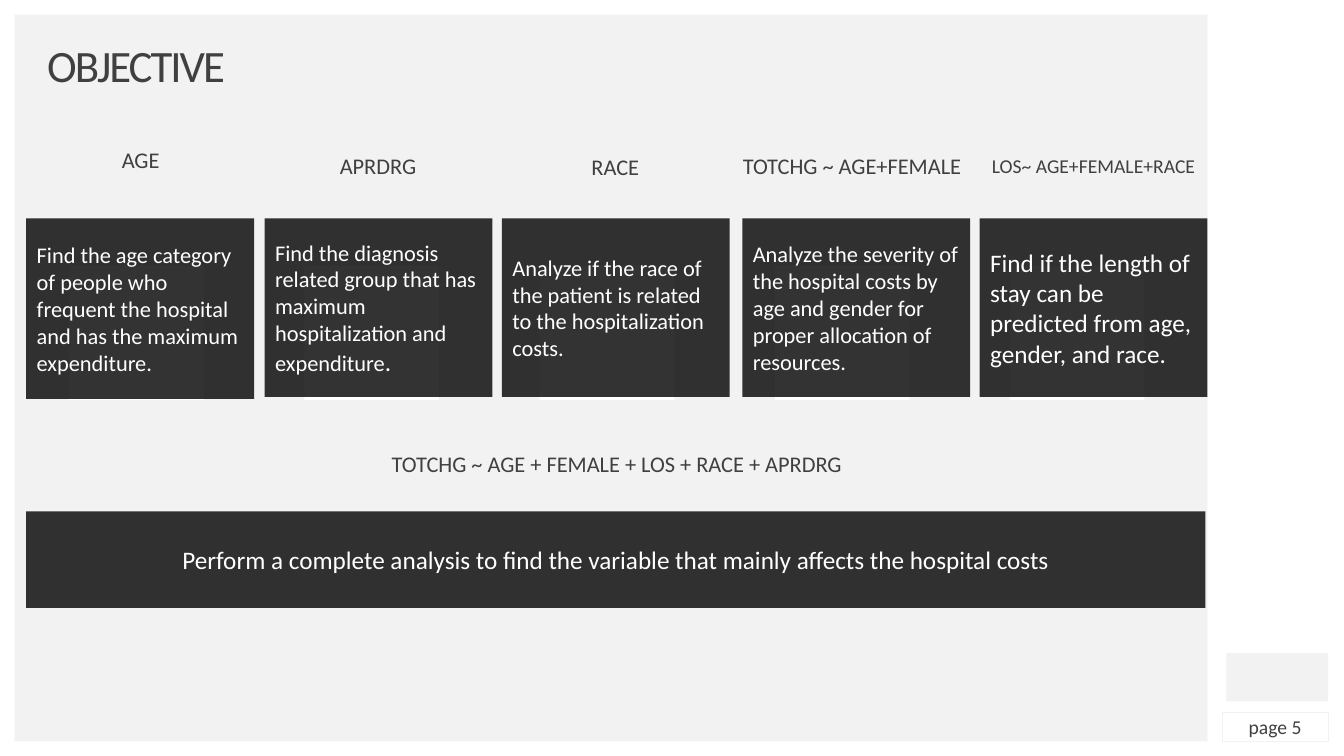
"""Build the objective slide: five research questions and one overall analysis."""
from lxml.etree import SubElement
from pptx import Presentation
from pptx.dml.color import RGBColor
from pptx.enum.shapes import MSO_SHAPE
from pptx.enum.text import MSO_ANCHOR, PP_ALIGN
from pptx.oxml.ns import qn
from pptx.util import Emu, Pt

PX = 9525
INK, PALE, WHITE = "404040", "F2F2F2", "FFFFFF"


def add_box(box, fill=None, alpha=None, line=None):
    shape = slide.shapes.add_shape(MSO_SHAPE.RECTANGLE, *[Emu(n * PX) for n in box])
    shape.shadow.inherit = False
    shape.fill.background()
    shape.line.fill.background()
    if fill:
        shape.fill.solid()
        shape.fill.fore_color.rgb = RGBColor.from_string(fill)
    if alpha:
        tint = shape.fill._xPr.find(qn("a:solidFill"))[0]
        SubElement(tint, qn("a:alpha")).set("val", str(alpha * 1000))
    if line:
        shape.line.color.rgb = RGBColor.from_string(line)
        shape.line.width = Pt(0.25)
    return shape


def write(shape, runs, color=INK, align=PP_ALIGN.CENTER, anchor=MSO_ANCHOR.TOP, spacing=None, inset=0):
    frame = shape.text_frame
    frame.word_wrap = True
    frame.vertical_anchor = anchor
    frame.margin_left = frame.margin_right = Emu(inset * PX)
    frame.margin_top = frame.margin_bottom = Emu(inset * PX // 2)
    paragraph = frame.paragraphs[0]
    paragraph.alignment = align
    paragraph.line_spacing = spacing
    for text, size in runs:
        run = paragraph.add_run()
        run.text = text
        run.font.size = Pt(size)
        run.font.name = "Calibri"
        run.font.color.rgb = RGBColor.from_string(color)
    return paragraph


deck = Presentation()
deck.slide_width, deck.slide_height = Emu(1280 * PX), Emu(720 * PX)
slide = deck.slides.add_slide(deck.slide_layouts[6])
slide.background.fill.solid()
slide.background.fill.fore_color.rgb = RGBColor.from_string(PALE)

for border in [(0, 0, 1280, 14), (0, 0, 14, 720), (1150, 0, 130, 720), (0, 706, 1280, 14)]:
    add_box(border, WHITE)

add_box((1168, 622, 97, 46), PALE)

for column in range(5):
    add_box((66 + column * 224, 253, 128, 128), WHITE)

title_box = slide.shapes.add_textbox(*[Emu(n * PX) for n in (45, 42, 1065, 45)])
title = write(title_box, [("OBJECTIVE", 32)], align=PP_ALIGN.LEFT, anchor=MSO_ANCHOR.MIDDLE, spacing=0.9)
title.runs[0].font._element.set("spc", "-150")

headings = [
    ("AGE", 16, (49, 142, 170, 37)),
    ("APRDRG", 16, (275, 148, 170, 37)),
    ("RACE", 16, (501, 149, 170, 37)),
    ("TOTCHG ~ AGE+FEMALE", 16, (698, 148, 227, 37)),
    ("LOS~ AGE+FEMALE+RACE", 14, (935, 149, 213, 45)),
    ("TOTCHG ~ AGE + FEMALE + LOS + RACE + APRDRG", 16, (318, 432, 539, 33)),
]
for heading, size, box in headings:
    heading_box = slide.shapes.add_textbox(*[Emu(n * PX) for n in box])
    write(heading_box, [(heading, size)], spacing=0.9)

goals = [
    (25, 172, [("Find the age category of people who frequent the hospital "
                "and has the maximum expenditure.", 16)]),
    (252, 170, [("Find the diagnosis related group that has maximum "
                 "hospitalization and expenditure", 16), (".", 18)]),
    (478, 170, [("Analyze if the race of the patient is related "
                 "to the hospitalization costs.", 16)]),
    (707, 170, [("Analyze the severity of the hospital costs by age and gender "
                 "for proper allocation of resources.", 16)]),
    (933, 170, [("Find if the length of stay can be predicted from age, "
                 "gender, and race.", 18)]),
]
for left, height, goal in goals:
    card = add_box((left, 208, 217, height), "000000", alpha=80)
    write(card, goal, WHITE, PP_ALIGN.LEFT, MSO_ANCHOR.MIDDLE, inset=10)

overall = add_box((25, 487, 1123, 92), "000000", alpha=80)
write(overall, [("Perform a complete analysis to find the variable that mainly "
                 "affects the hospital costs", 18)], WHITE, anchor=MSO_ANCHOR.MIDDLE, inset=10)

page = add_box((1164, 678, 101, 28), line=PALE)
write(page, [("page 5", 14)], anchor=MSO_ANCHOR.MIDDLE)

deck.save("out.pptx")
